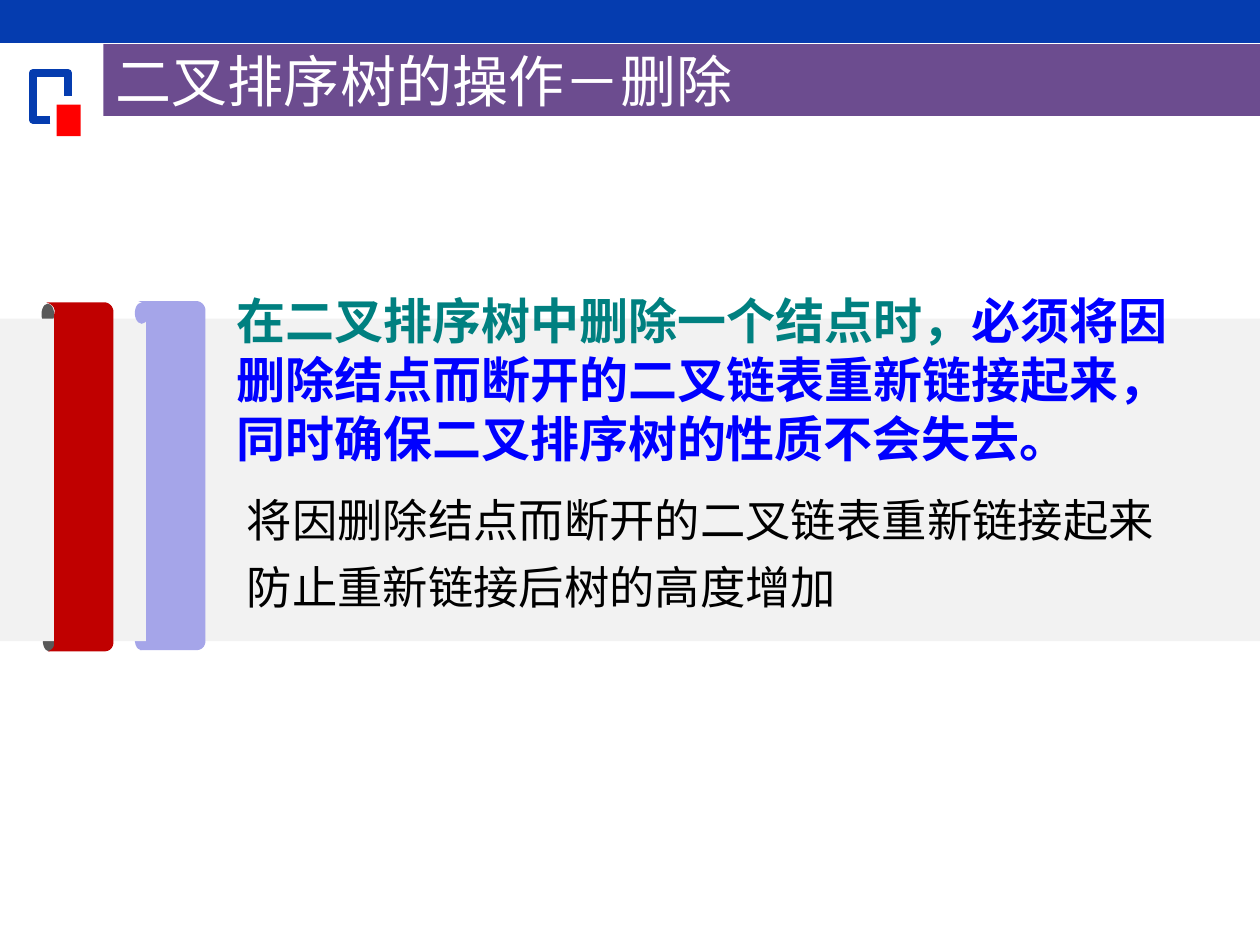
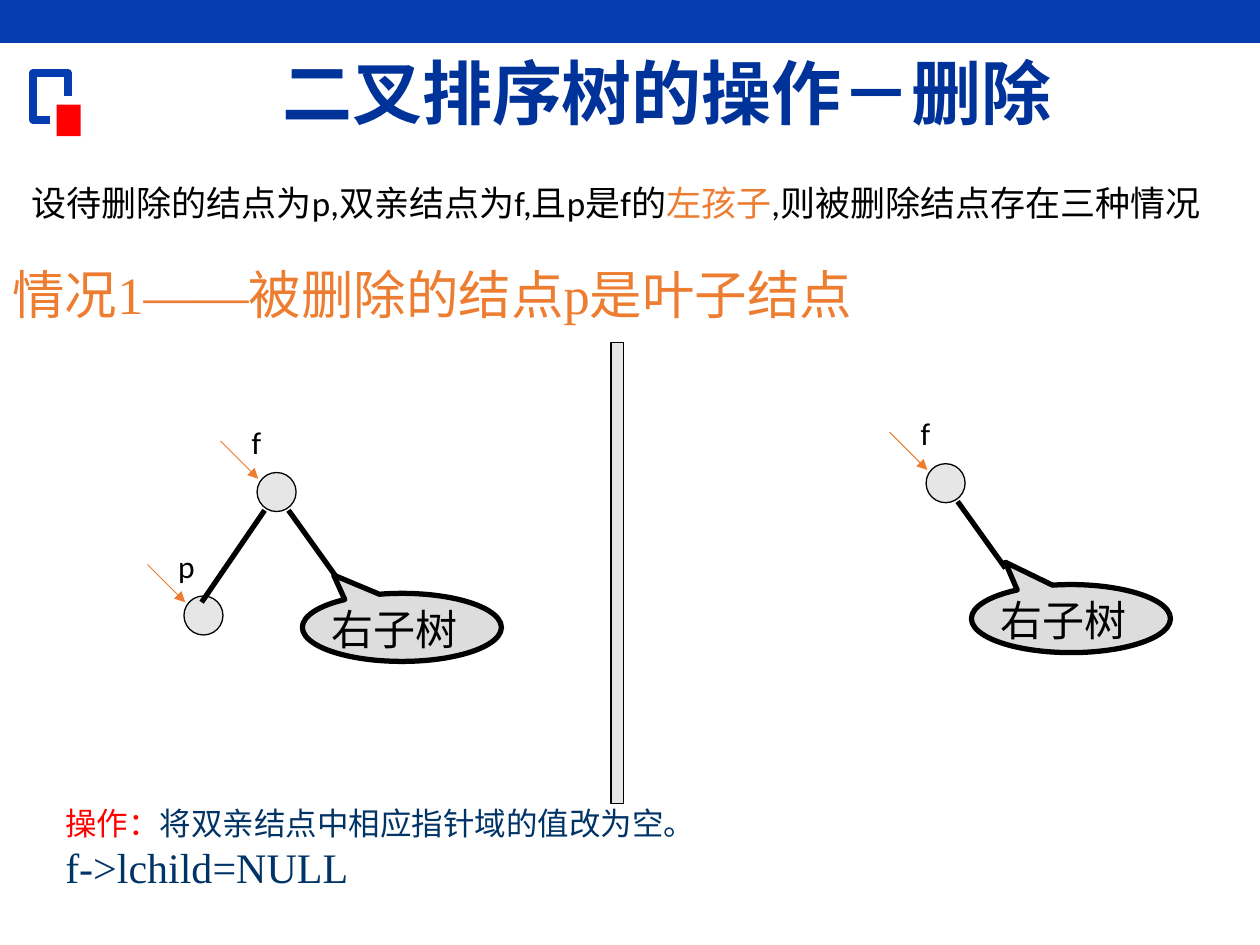
import pptx
import pptx.util
import pptx.dml.color
import pptx.enum.shapes
import pptx.enum.text
import pptx.oxml
import pptx.oxml.ns

Inches, Pt = pptx.util.Inches, pptx.util.Pt
SHAPE = pptx.enum.shapes.MSO_SHAPE
ALIGN = pptx.enum.text.PP_ALIGN
ANCHOR = pptx.enum.text.MSO_ANCHOR

# Content: each paragraph is a list of (text, colour) runs
COLORS = {
    "blue": "053CAF", "red": "FF0000", "purple": "6C4C8F", "white": "FFFFFF",
    "black": "000000", "band": "F2F2F2", "gray": "595959", "crimson": "C00000",
    "lilac": "A5A5E9", "teal": "008080", "bright": "0000FF", "title": "003399",
    "orange": "ED7D31", "navy": "003366", "node": "E7E6E6", "callout": "DDDDDD",
}
TITLE = "二叉排序树的操作－删除"
PRINCIPLE = [[("在二叉排序树中删除一个结点时，", "teal"),
              ("必须将因删除结点而断开的二叉链表重新链接起来，同时确保二叉排序树的性质不会失去。", "bright")]]
GOALS = [[("将因删除结点而断开的二叉链表重新链接起来", "black")],
         [("防止重新链接后树的高度增加", "black")]]
SETUP = [[("设待删除的结点为p,双亲结点为f,且p是f的", "black"), ("左孩子", "orange"),
          (",则被删除结点存在三种情况", "black")]]
CASE = [[("情况1——被删除的结点p是叶子结点", "orange")]]
OPERATION = [[("操作：", "red"), ("将双亲结点中相应指针域的值改为空。", "navy")],
             [("f->lchild=NULL", "navy")]]
SUBTREE = [[("右子树", "black")]]

# Scroll outline: a move, then lines (one point) and curves (three points)
SCROLL = [
    [(0.43, 2.5)], [(0.46, 2.4), (0.33, 2.4), (0.38, 2.4)], [(0.83, 2.4)],
    [(0.87, 2.4), (0.9, 2.44), (0.9, 2.47)], [(0.9, 5.1)],
    [(0.9, 5.14), (0.87, 5.17), (0.83, 5.17)], [(0.39, 5.17)],
    [(0.35, 5.17), (0.44, 5.17), (0.43, 5.1)],
]
LOGO_BRACKET = [(0.4, 0.95), (0.26, 0.95), (0.26, 0.58), (0.54, 0.58), (0.54, 0.76)]


def rgb(name):
    return pptx.dml.color.RGBColor.from_string(COLORS[name])


def paint(sp, fill=None, line=None, width=0.75):
    sp.shadow.inherit = False
    if fill:
        sp.fill.solid()
        sp.fill.fore_color.rgb = rgb(fill)
    else:
        sp.fill.background()
    if line:
        sp.line.color.rgb = rgb(line)
        sp.line.width = Pt(width)
    else:
        sp.line.fill.background()
    return sp


def add_shape(slide, kind, at, fill, line=None, width=0.75):
    sp = slide.shapes.add_shape(kind, *map(Inches, at))
    return paint(sp, fill, line, width)


def add_outline(slide, points, close=True, **style):
    pts = [(Inches(x), Inches(y)) for x, y in points]
    builder = slide.shapes.build_freeform(*pts[0], scale=1.0)
    builder.add_line_segments(pts[1:], close=close)
    return paint(builder.convert_to_shape(), **style)


def write(sp, paragraphs, sizes, font="Times New Roman", bold=False, align=ALIGN.LEFT,
          anchor=ANCHOR.TOP, wrap=True, spacing=None, gap=0, margins=None):
    """Fill a shape with text; sizes holds one size per paragraph."""
    tf = sp.text_frame
    tf.auto_size = pptx.enum.text.MSO_AUTO_SIZE.NONE
    tf.word_wrap = wrap
    tf.vertical_anchor = anchor
    if margins:
        tf.margin_left, tf.margin_top, tf.margin_right, tf.margin_bottom = map(Inches, margins)
    for i, (runs, size) in enumerate(zip(paragraphs, sizes)):
        p = tf.add_paragraph() if i else tf.paragraphs[0]
        p.alignment = align
        p.space_before = Pt(gap if i else 0)
        if spacing:
            p.line_spacing = spacing
        for text, color in runs:
            r = p.add_run()
            r.text = text
            r.font.size = Pt(size)
            r.font.name = font
            r.font.bold = bold
            r.font.color.rgb = rgb(color)


def add_text(slide, at, paragraphs, sizes, **fmt):
    write(slide.shapes.add_textbox(*map(Inches, at)), paragraphs, sizes, **fmt)


def add_line(slide, start, end, color, width, arrow=False):
    c = slide.shapes.add_connector(pptx.enum.shapes.MSO_CONNECTOR.STRAIGHT,
                                   *map(Inches, start + end))
    c.line.color.rgb = rgb(color)
    c.line.width = Pt(width)
    if arrow:
        tail = pptx.oxml.parse_xml(f'<a:tailEnd {pptx.oxml.ns.nsdecls("a")} type="triangle"/>')
        c.line._get_or_add_ln().append(tail)
    c._element.spPr.append(pptx.oxml.parse_xml(f'<a:effectLst {pptx.oxml.ns.nsdecls("a")}/>'))


def new_slide(prs, title_at, size, color, font, bold=False, fill=None):
    """Add a slide with the top bar, the corner mark and a title."""
    slide = prs.slides.add_slide(prs.slide_layouts[5])
    add_shape(slide, SHAPE.RECTANGLE, (0, 0, 10, 0.34), "blue")
    add_outline(slide, LOGO_BRACKET, close=False, line="blue", width=4.5)
    add_shape(slide, SHAPE.RECTANGLE, (0.45, 0.83, 0.19, 0.25), "red")
    title = slide.shapes.title
    title.left, title.top, title.width, title.height = map(Inches, title_at)
    if fill:
        title.fill.solid()
        title.fill.fore_color.rgb = rgb(fill)
    write(title, [[(TITLE, color)]], [size], font=font, bold=bold, anchor=ANCHOR.MIDDLE)
    return slide


def scroll_points(dx, dy, steps=8):
    points = [SCROLL[0][0]]
    for segment in SCROLL[1:]:
        if len(segment) == 1:
            points += segment
            continue
        curve = [points[-1]] + segment
        for k in range(1, steps + 1):
            t = k / steps
            weights = ((1 - t) ** 3, 3 * t * (1 - t) ** 2, 3 * t * t * (1 - t), t ** 3)
            points.append(tuple(sum(w * pt[axis] for w, pt in zip(weights, curve))
                                for axis in (0, 1)))
    return [(x + dx, y + dy) for x, y in points]


def add_node(slide, x, y, name, label_dx, label_width):
    """Draw a tree node with its pointer arrow and the pointer's name."""
    add_shape(slide, SHAPE.OVAL, (x, y, 0.31, 0.31), "node", "black")
    add_line(slide, (x - 0.29, y - 0.25), (x + 0.01, y + 0.05), "orange", 0.5, arrow=True)
    add_text(slide, (x + label_dx, y - 0.44, label_width, 0.4), [[(name, "black")]], [18],
             font="Calibri", align=ALIGN.CENTER, wrap=False)


def add_tree(slide, dx, dy, tip, has_leaf):
    """Draw node f with its right subtree, and leaf p if it is still there."""
    add_node(slide, 2.04 + dx, 3.75 + dy, "f", -0.14, 0.27)
    add_line(slide, (2.29 + dx, 4.05 + dy), (2.67 + dx, 4.58 + dy), "black", 3)
    callout = add_shape(slide, SHAPE.OVAL_CALLOUT, (2.4 + dx, 4.71 + dy, 1.58, 0.54),
                        "callout", "black", 3)
    callout.adjustments[0], callout.adjustments[1] = tip
    write(callout, SUBTREE, [24], align=ALIGN.JUSTIFY, margins=(0, 0, 0, 0))
    if has_leaf:
        add_node(slide, 1.46 + dx, 4.73 + dy, "p", -0.15, 0.34)
        add_line(slide, (2.1 + dx, 4.05 + dy), (1.6 + dx, 4.78 + dy), "black", 3)


def build_principle(prs):
    slide = new_slide(prs, (0.82, 0.35, 9.18, 0.57), 32, "white", "Calibri", fill="purple")
    # Scroll ends lie behind the band, scrolls in front of it
    for x, y, color in ((1.07, 4.99, "lilac"), (0.34, 5, "gray"), (0.33, 2.41, "gray")):
        add_shape(slide, SHAPE.OVAL, (x, y, 0.1, 0.17), color)
    add_shape(slide, SHAPE.RECTANGLE, (0, 2.53, 10, 2.56), "band")
    add_outline(slide, scroll_points(0, 0), fill="crimson")
    add_shape(slide, SHAPE.OVAL, (1.07, 2.4, 0.11, 0.17), "lilac")
    add_outline(slide, scroll_points(0.73, -0.01), fill="lilac")
    # Text
    add_text(slide, (1.78, 3.91, 7.86, 1.16), GOALS, [25.9, 25.9], font="Calibri",
             spacing=0.9, gap=10, margins=(0.18, 0.05, 0.1, 0.05))
    add_text(slide, (1.78, 2.26, 7.58, 1.51), PRINCIPLE, [28], bold=True, align=ALIGN.JUSTIFY)


def build_leaf_case(prs):
    slide = new_slide(prs, (2.14, 0.35, 6.4, 0.75), 40, "title", "Times New Roman", bold=True)
    add_text(slide, (0, 2.03, 7.54, 0.6), CASE, [30])
    add_text(slide, (0.42, 6.33, 9.13, 1.17), OPERATION, [18, 24])
    add_text(slide, (0.14, 1.39, 9.5, 0.43), SETUP, [20], font="Calibri", align=ALIGN.CENTER)
    # Before and after the deletion, either side of a divider
    add_tree(slide, 0, 0, (-0.343, -0.769), has_leaf=True)
    add_shape(slide, SHAPE.RECTANGLE, (4.85, 2.72, 0.1, 3.66), "node", "black")
    add_tree(slide, 5.31, -0.07, (-0.33, -0.83), has_leaf=False)


def main():
    prs = pptx.Presentation()
    prs.slide_width, prs.slide_height = Inches(10), Inches(7.5)
    build_principle(prs)
    build_leaf_case(prs)
    prs.save("out.pptx")


if __name__ == "__main__":
    main()
